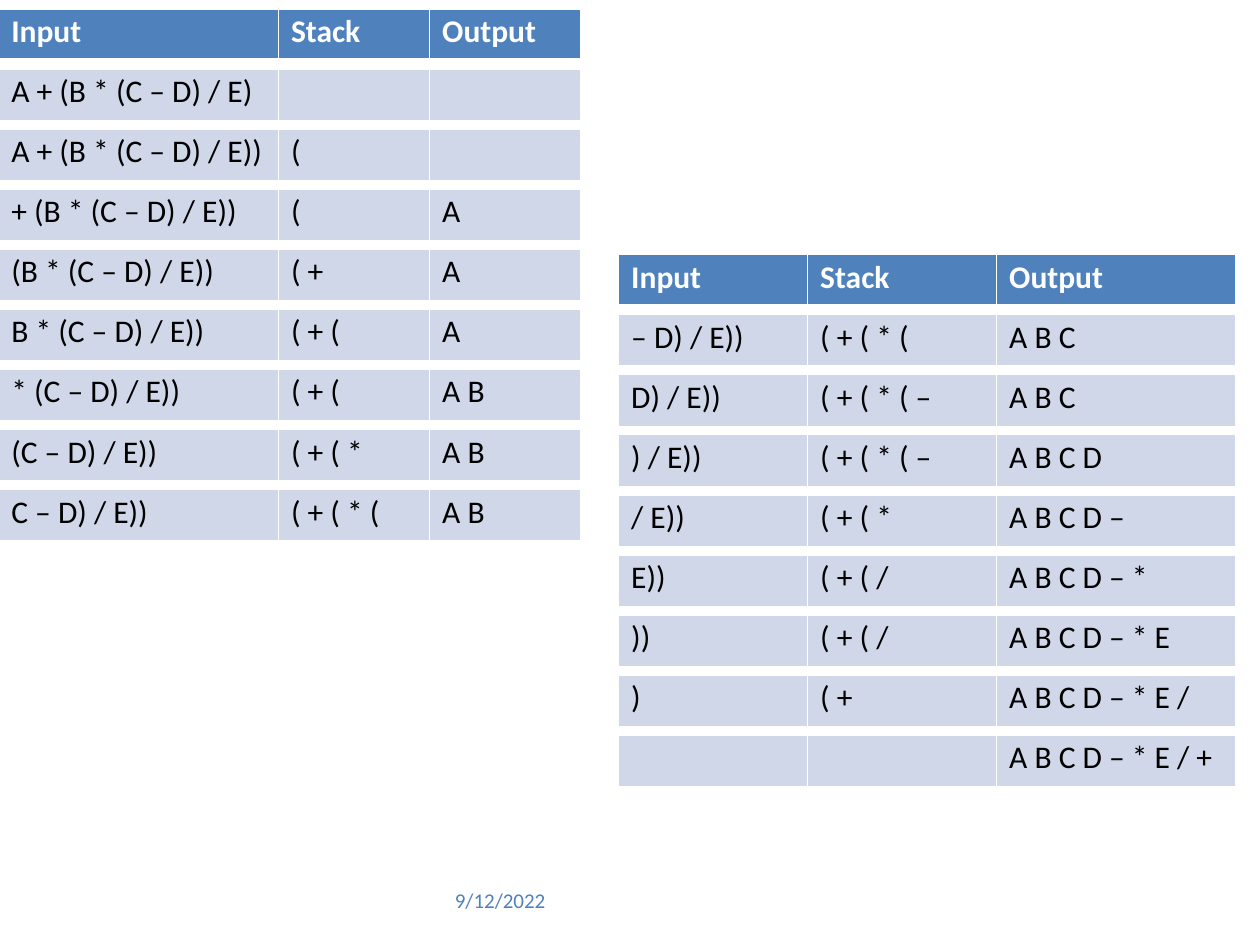
from lxml import etree
from pptx import Presentation, util as u
from pptx.dml.color import RGBColor
from pptx.oxml.ns import qn

COLORS = {"header": "4F81BC", "row": "D0D7E8", "line": "FFFFFF",
          "header_text": "FFFFFF", "text": "000000", "date": "4F81BC"}
FONT = "Calibri"
STEP = 2.86 / 6        # distance from one trace row to the next
ROW = 0.41             # height of a filled row
GAP = STEP - ROW       # white strip between rows
HEADINGS = ("Input", "Stack", "Output")

FIRST_STEPS = [
    ("A + (B * (C – D) / E)", "", ""),
    ("A + (B * (C – D) / E))", "(", ""),
    ("+ (B * (C – D) / E))", "(", "A"),
    ("(B * (C – D) / E))", "( +", "A"),
    ("B * (C – D) / E))", "( + (", "A"),
    ("* (C – D) / E))", "( + (", "A B"),
    ("(C – D) / E))", "( + ( *", "A B"),
    ("C – D) / E))", "( + ( * (", "A B"),
]
LAST_STEPS = [
    ("– D) / E))", "( + ( * (", "A B C"),
    ("D) / E))", "( + ( * ( –", "A B C"),
    (") / E))", "( + ( * ( –", "A B C D"),
    ("/ E))", "( + ( *", "A B C D –"),
    ("E))", "( + ( /", "A B C D – *"),
    ("))", "( + ( /", "A B C D – * E"),
    (")", "( +", "A B C D – * E /"),
    ("", "", "A B C D – * E / +"),
]


def style_font(font, size, color, bold=False):
    font.name, font.size, font.bold = FONT, u.Pt(size), bold
    font.color.rgb = RGBColor.from_string(COLORS[color])


def set_borders(cell, top=1, bottom=1):
    """White lines on all four sides, widths in points."""
    props = cell._tc.get_or_add_tcPr()
    for side, width in (("L", 1), ("R", 1), ("T", top), ("B", bottom)):
        line = etree.SubElement(props, qn(f"a:ln{side}"), w=str(u.Pt(width)))
        fill = etree.SubElement(line, qn("a:solidFill"))
        etree.SubElement(fill, qn("a:srgbClr"), val=COLORS["line"])


def fill_row(table, index, values, fill="row", color="text", bold=False, bottom=1):
    table.rows[index].height = u.Inches(ROW)
    for cell, value in zip(table.rows[index].cells, values):
        set_borders(cell, bottom=bottom)
        cell.fill.solid()
        cell.fill.fore_color.rgb = RGBColor.from_string(COLORS[fill])
        cell.margin_left, cell.margin_top = u.Inches(0.1), u.Inches(0.03)
        cell.margin_right = cell.margin_bottom = 0
        cell.text = value
        style_font(cell.text_frame.paragraphs[0].font, 18, color, bold)


def clear_row(table, index):
    """Unfilled strip, thinner than a line of normal text."""
    table.rows[index].height = u.Inches(GAP)
    for cell in table.rows[index].cells:
        set_borders(cell, top=3)
        cell.fill.background()
        cell.margin_left = cell.margin_right = cell.margin_top = cell.margin_bottom = 0
        strip = cell.text_frame.paragraphs[0]
        strip._p.get_or_add_endParaRPr().set("sz", "100")


def add_grid(slide, left, top, widths, heights):
    frame = slide.shapes.add_table(
        len(heights), len(widths), u.Inches(left), u.Inches(top),
        u.Inches(sum(widths)), u.Inches(sum(heights)))
    table = frame.table
    table.first_row = table.horz_banding = False
    for column, width in zip(table.columns, widths):
        column.width = u.Inches(width)
    return table


def add_trace(slide, left, top, widths, steps):
    # Headings together with the first step
    head = add_grid(slide, left, top, widths, (ROW, GAP, ROW))
    fill_row(head, 0, HEADINGS, "header", "header_text", bold=True, bottom=3)
    clear_row(head, 1)
    fill_row(head, 2, steps[0])
    # Each later step stands alone
    for position, step in enumerate(steps[1:], start=2):
        fill_row(add_grid(slide, left, top + position * STEP, widths, (ROW,)), 0, step)


def add_date(slide, value):
    box = slide.shapes.add_textbox(u.Inches(3.6), u.Inches(7.07), u.Inches(2.8), u.Inches(0.19))
    frame = box.text_frame
    frame.word_wrap = True
    frame.margin_left = u.Inches(0.01)
    frame.margin_top = frame.margin_right = frame.margin_bottom = 0
    date = frame.paragraphs[0]
    date.text = value
    date.line_spacing = u.Pt(12.4)
    style_font(date.font, 12, "date")


def main():
    deck = Presentation()
    deck.slide_width, deck.slide_height = u.Inches(10), u.Inches(7.5)
    slide = deck.slides.add_slide(deck.slide_layouts[6])
    add_trace(slide, -0.01, 0.07, (2.22, 1.2, 1.2), FIRST_STEPS)
    add_trace(slide, 4.91, 2.02, (1.5, 1.5, 1.9), LAST_STEPS)
    add_date(slide, "9/12/2022")
    deck.save("out.pptx")


if __name__ == "__main__":
    main()
